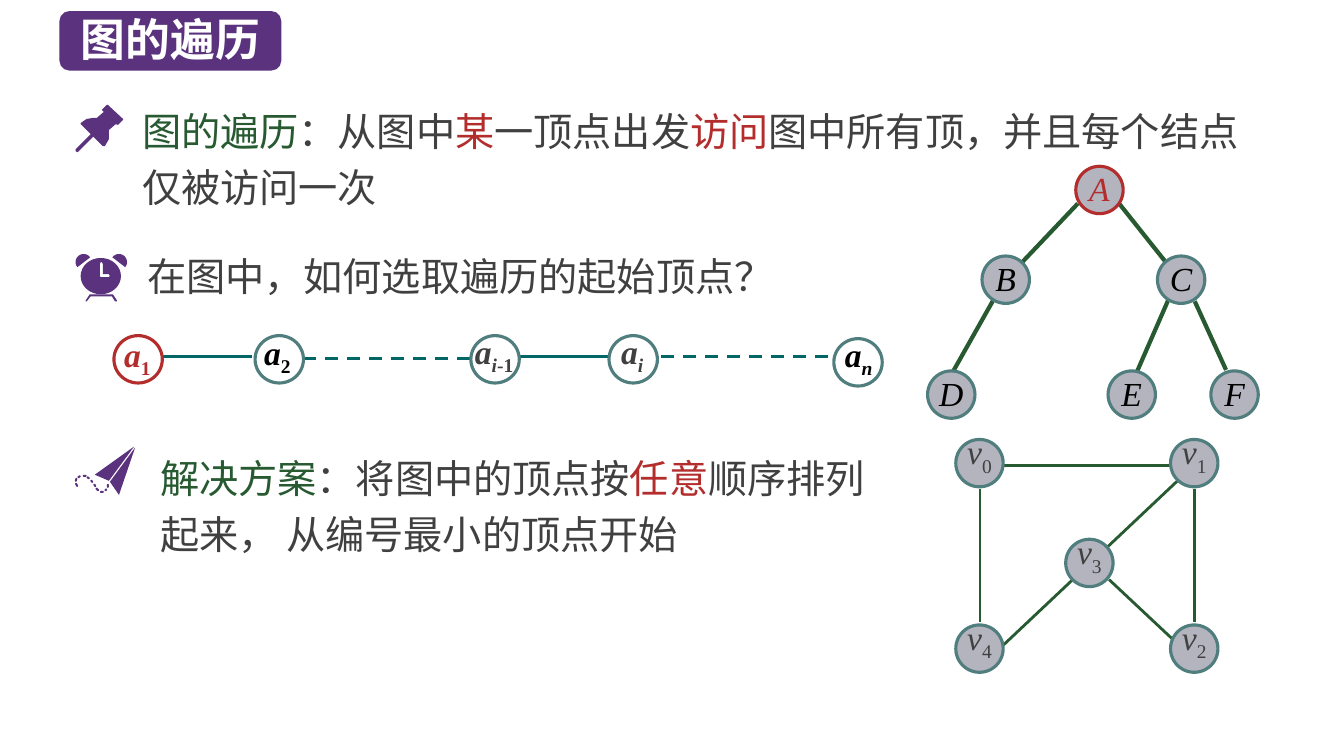
"""Build the slide on graph traversal: rules, a vertex chain, a tree and a cyclic graph."""
import math
from dataclasses import dataclass
from typing import Any, NamedTuple

from lxml import etree
from pptx import Presentation
from pptx import util as u
from pptx.dml.color import RGBColor
from pptx.enum import dml, shapes, text
from pptx.oxml import ns

PURPLE, GREEN, RED, GREY = "5A327D", "285A32", "B42D2D", "404040"
SLATE, TEAL, SILVER, BLACK, WHITE = "507D7D", "006666", "B4B4BE", "000000", "FFFFFF"
CJK, SERIF = "Noto Sans CJK SC", "Times New Roman"
DIAMETER = 0.47
Point = tuple[float, float]


class Run(NamedTuple):
    text: str
    color: str = GREY
    italic: bool = False
    subscript: bool = False


class Edge(NamedTuple):
    start: Point
    end: Point
    color: str
    width: float
    dashed: bool = False


@dataclass
class Node:
    left: float
    top: float
    runs: list[Run]
    outline: str = SLATE
    spacing: int = 25


@dataclass
class Link:
    left: float
    top: float
    label_left: float
    label_top: float
    runs: list[Run]
    outline: str = SLATE
    label_width: float = 0.41


@dataclass
class Statement:
    left: float
    top: float
    width: float
    height: float
    runs: list[Run]
    frame: dict[str, Any]
    paragraph: dict[str, Any]


def apply(target: Any, formats: dict[str, Any]) -> None:
    for name, value in formats.items():
        setattr(target, name, value)


def paint(color_owner: Any, color: str) -> None:
    color_owner.rgb = RGBColor.from_string(color)


def fill_shape(shape: Any, color: str) -> None:
    shape.fill.solid()
    paint(shape.fill.fore_color, color)


def write(shape: Any, runs: list[Run], font: dict[str, Any],
          frame: dict[str, Any], paragraph_format: dict[str, Any]) -> None:
    apply(shape.text_frame, {"word_wrap": True, "vertical_anchor": text.MSO_ANCHOR.TOP, **frame})
    paragraph = shape.text_frame.paragraphs[0]
    apply(paragraph, paragraph_format)
    for item in runs:
        run = paragraph.add_run()
        run.text = item.text
        apply(run.font, {"italic": item.italic, **font})
        paint(run.font.color, item.color)
        properties = run._r.get_or_add_rPr()
        if item.subscript:
            properties.set("baseline", "-25000")
        etree.SubElement(properties, ns.qn("a:ea"), typeface=font["name"])


def margins(left: float, top: float, right: float, bottom: float) -> dict[str, Any]:
    sides = {"left": left, "top": top, "right": right, "bottom": bottom}
    return {f"margin_{side}": u.Inches(value) for side, value in sides.items()}


def box(left: float, top: float, width: float, height: float) -> list[u.Length]:
    return [u.Inches(value) for value in (left, top, width, height)]


def draw_edge(slide: Any, edge: Edge) -> None:
    ends = [u.Inches(value) for value in (*edge.start, *edge.end)]
    connector = slide.shapes.add_connector(shapes.MSO_CONNECTOR.STRAIGHT, *ends)
    connector.line.width = u.Pt(edge.width)
    paint(connector.line.color, edge.color)
    if edge.dashed:
        connector.line.dash_style = dml.MSO_LINE.DASH
    etree.SubElement(connector._element.spPr, ns.qn("a:effectLst"))


def draw_circle(slide: Any, left: float, top: float, width: float, outline: str) -> Any:
    shape = slide.shapes.add_shape(shapes.MSO_SHAPE.OVAL, *box(left, top, width, DIAMETER))
    shape.shadow.inherit = False
    shape.fill.background()
    shape.line.width = u.Pt(2.25)
    paint(shape.line.color, outline)
    return shape


def draw_node(slide: Any, node: Node) -> None:
    shape = draw_circle(slide, node.left, node.top, DIAMETER, node.outline)
    fill_shape(shape, SILVER)
    write(shape, node.runs, {"size": u.Pt(24), "name": SERIF}, margins(0, 0, 0, 0),
          {"alignment": text.PP_ALIGN.CENTER, "line_spacing": u.Pt(node.spacing)})


def draw_link(slide: Any, link: Link) -> None:
    draw_circle(slide, link.left, link.top, 0.48, link.outline)
    label = slide.shapes.add_textbox(*box(link.label_left, link.label_top, link.label_width, 0.56))
    write(label, link.runs, {"size": u.Pt(24), "name": SERIF, "bold": True},
          margins(0.01, 0.03, 0, 0.01), {})


def draw_statement(slide: Any, item: Statement) -> None:
    shape = slide.shapes.add_textbox(*box(item.left, item.top, item.width, item.height))
    frame = {"auto_size": text.MSO_AUTO_SIZE.SHAPE_TO_FIT_TEXT, **item.frame}
    write(shape, item.runs, {"size": u.Pt(28), "name": CJK}, frame, item.paragraph)


def draw_outline(slide: Any, *contours: list[Point]) -> None:
    scaled = [[(u.Inches(x), u.Inches(y)) for x, y in contour] for contour in contours]
    builder = slide.shapes.build_freeform(*scaled[0][0])
    for index, contour in enumerate(scaled):
        if index:
            builder.move_to(*contour[0])
        builder.add_line_segments(contour[1:], close=True)
    shape = builder.convert_to_shape()
    shape.shadow.inherit = False
    fill_shape(shape, PURPLE)
    shape.line.fill.background()


def arc(center: Point, radii: Point, start: int, end: int) -> list[Point]:
    angles = [math.radians(start + (end - start) * step / 32) for step in range(33)]
    return [(center[0] + radii[0] * math.cos(a), center[1] + radii[1] * math.sin(a)) for a in angles]


def trail_dash(start: Point, end: Point) -> list[Point]:
    dx, dy = end[0] - start[0], end[1] - start[1]
    length = math.hypot(dx, dy)
    nx, ny = -0.01 * dy / length, 0.01 * dx / length
    corners = [(0, 0), (0.2, 1), (0.8, 1), (1, 0), (0.8, -1), (0.2, -1)]
    return [(start[0] + t * dx + s * nx, start[1] + t * dy + s * ny) for t, s in corners]


PIN = [
    [(1.22, 1.18), (1.07, 1.04), (1.06, 1.04), (1.02, 1.08), (1.01, 1.09), (1.03, 1.11),
     (0.96, 1.17), (0.92, 1.17), (0.86, 1.18), (0.8, 1.22), (0.8, 1.23), (1.02, 1.45),
     (1.04, 1.45), (1.08, 1.38), (1.08, 1.29), (1.15, 1.23), (1.17, 1.24), (1.22, 1.19)],
    [(0.77, 1.51), (0.75, 1.5), (0.75, 1.48), (0.91, 1.32), (0.93, 1.32), (0.93, 1.35)]]
CLOCK_FEET = [(1.16, 2.98), (1.12, 2.92), (0.89, 2.92), (0.85, 2.98), (0.85, 2.99),
              (0.86, 2.99), (0.9, 2.94), (1.11, 2.94), (1.14, 2.99), (1.16, 2.99)]
CLOCK_HANDS = [(1.08, 2.75), (1, 2.75), (0.99, 2.74), (0.99, 2.62), (1, 2.6), (1.01, 2.6),
               (1.02, 2.62), (1.02, 2.72), (1.08, 2.72), (1.09, 2.74)]
PLANE = [[(1.34, 4.44), (1.18, 4.91), (1.09, 4.78)], [(1.33, 4.43), (1.08, 4.77), (0.94, 4.71)]]
TRAIL = [((1.07, 4.8), (1.07, 4.84)), ((1.06, 4.85), (1.04, 4.87)), ((1.03, 4.88), (0.99, 4.88)),
         ((0.98, 4.87), (0.95, 4.84)), ((0.95, 4.83), (0.93, 4.8)), ((0.92, 4.79), (0.9, 4.76)),
         ((0.89, 4.75), (0.86, 4.73)), ((0.86, 4.72), (0.82, 4.72)), ((0.8, 4.72), (0.77, 4.74)),
         ((0.76, 4.74), (0.75, 4.78)), ((0.75, 4.79), (0.77, 4.83))]
TREE_EDGES = [((10.69, 2.02), (10.13, 2.61)), ((11.1, 2.02), (11.57, 2.61)),
              ((9.85, 2.98), (9.45, 3.69)), ((11.59, 2.97), (11.28, 3.68)),
              ((11.85, 2.99), (12.16, 3.67))]
GRAPH_EDGES = [((9.96, 4.62), (11.61, 4.62)), ((10.64, 5.75), (9.93, 6.42)),
               ((11, 5.75), (11.65, 6.36)), ((9.72, 4.85), (9.72, 6.17)),
               ((11.85, 4.85), (11.85, 6.17)), ((11.69, 4.76), (10.98, 5.43))]
CHAIN_EDGES = [Edge((left, y), (right, y), TEAL, 2.25, dashed) for left, right, y, dashed in (
    (1.62, 2.5, 3.54, False), (5.16, 6.04, 3.54, False),
    (6.56, 8.25, 3.54, True), (3.01, 4.7, 3.56, True))]
TREE = {"A": (10.67, 1.65), "B": (9.74, 2.54), "C": (11.48, 2.54),
        "D": (9.2, 3.68), "E": (10.99, 3.68), "F": (12.01, 3.68)}
GRAPH = [(9.48, 4.36), (11.61, 4.36), (11.61, 6.2), (10.57, 5.35), (9.48, 6.2)]
CHAIN = [
    Link(1.13, 3.33, 1.22, 3.28, [Run("a", RED, True), Run("1", RED, False, True)], RED),
    Link(2.53, 3.33, 2.61, 3.26, [Run("a", BLACK, True), Run("2", BLACK, False, True)]),
    Link(4.67, 3.33, 4.7, 3.25, [Run("a", GREY, True), Run("i", GREY, True, True),
                                 Run("-1", GREY, False, True)], label_width=0.61),
    Link(6.04, 3.33, 6.15, 3.25, [Run("a", GREY, True), Run("i", GREY, True, True)]),
    Link(8.27, 3.36, 8.37, 3.28, [Run("a", BLACK, True), Run("n", BLACK, True, True)])]
LINES = {"line_spacing": u.Pt(40)}
STATEMENTS = [
    Statement(1.41, 0.93, 11.2, 1.22, [
        Run("图的遍历", GREEN), Run("：从图中"), Run("某", RED), Run("一顶点出发"), Run("访问", RED),
        Run("图中所有顶，并且每个结点仅被访问一次")], margins(0, 0.05, 0, 0.05), LINES),
    Statement(1.36, 2.45, 9.29, 0.57, [Run("在图中，如何选取遍历的起始顶点？")], {}, {}),
    Statement(1.49, 4.36, 7.46, 1.22, [
        Run("解决方案", GREEN), Run("：将图中的顶点按"), Run("任意", RED),
        Run("顺序排列起来， 从编号最小的顶点开始")], {"vertical_anchor": text.MSO_ANCHOR.MIDDLE}, LINES)]


def draw_title(slide: Any) -> None:
    tab = slide.shapes.add_shape(shapes.MSO_SHAPE.ROUNDED_RECTANGLE, *box(0.59, 0.11, 2.2, 0.59))
    tab.shadow.inherit = False
    fill_shape(tab, PURPLE)
    tab.line.fill.background()
    title = slide.shapes.title
    apply(title, dict(zip(("left", "top", "width", "height"), box(0.7, 0.07, 2.05, 0.64))))
    write(title, [Run("图的遍历", WHITE)], {"size": u.Pt(32), "name": CJK, "bold": True},
          {"auto_size": text.MSO_AUTO_SIZE.SHAPE_TO_FIT_TEXT}, {"alignment": text.PP_ALIGN.LEFT})
    tab.element.addnext(title.element)


def draw_icons(slide: Any) -> None:
    bells = [arc((0.83, 0.6 + 2), (0.08, 0.08), 141, 324), arc((1.18, 2.6), (0.08, 0.08), -144, 39)]
    for contour in [*PIN, CLOCK_FEET, *bells, *PLANE, *(trail_dash(*ends) for ends in TRAIL)]:
        draw_outline(slide, contour)
    draw_outline(slide, arc((1, 2.74), (0.2, 0.18), 0, 360), CLOCK_HANDS)


def main() -> None:
    presentation = Presentation()
    apply(presentation, {"slide_width": u.Inches(13.33), "slide_height": u.Inches(7.5)})
    slide = presentation.slides.add_slide(presentation.slide_layouts[5])
    draw_title(slide)
    draw_icons(slide)
    for statement in STATEMENTS:
        draw_statement(slide, statement)
    edges = [Edge(*ends, GREEN, 3) for ends in TREE_EDGES] + CHAIN_EDGES
    for edge in edges + [Edge(*ends, GREEN, 2) for ends in GRAPH_EDGES]:
        draw_edge(slide, edge)
    for name, place in TREE.items():
        root = name == "A"
        draw_node(slide, Node(*place, [Run(name, RED if root else BLACK, True)], RED if root else SLATE))
    for index, place in enumerate(GRAPH):
        runs = [Run("v", GREY, True), Run(str(index), GREY, False, True)]
        draw_node(slide, Node(*place, runs, spacing=22))
    for link in CHAIN:
        draw_link(slide, link)
    presentation.save("out.pptx")


if __name__ == "__main__":
    main()
